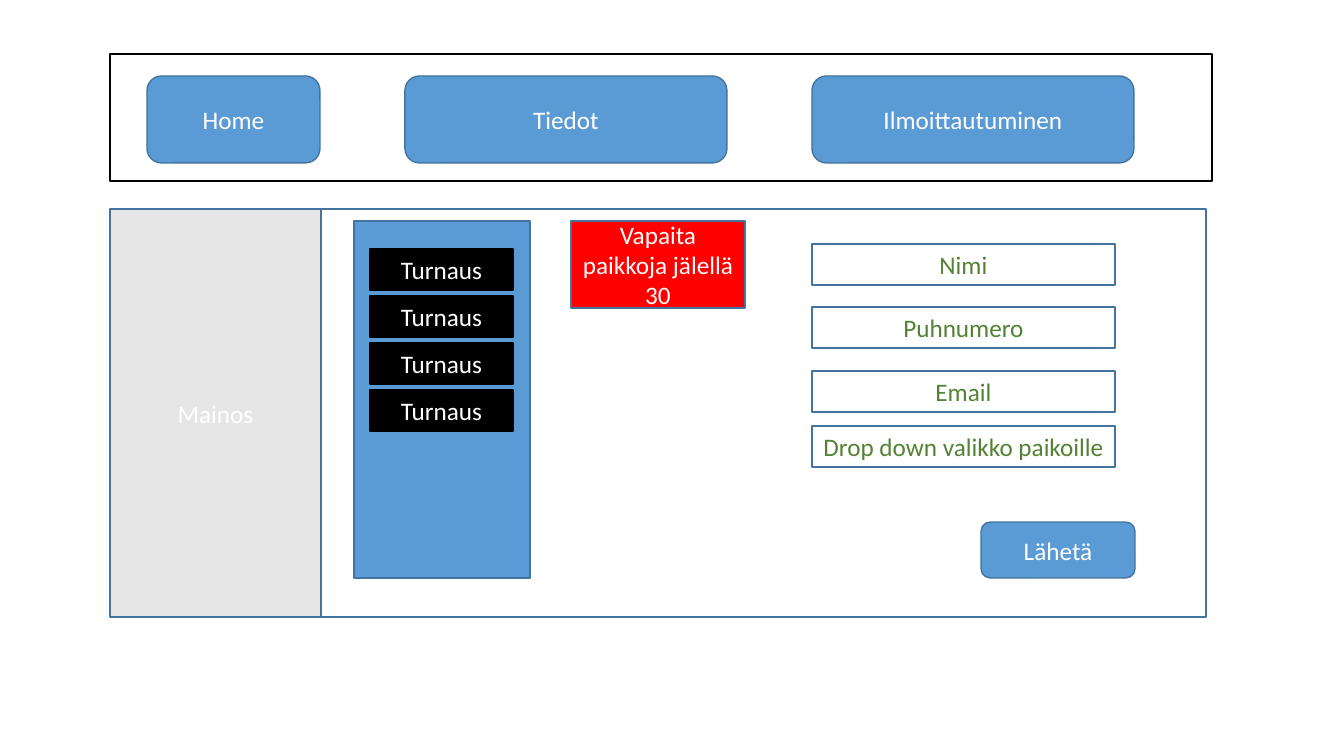
"""Build a wireframe slide of a tournament sign-up page."""
from pptx import Presentation
from pptx.dml.color import RGBColor
from pptx.enum.shapes import MSO_SHAPE
from pptx.enum.text import MSO_ANCHOR, PP_ALIGN
from pptx.util import Pt

RECT = MSO_SHAPE.RECTANGLE
ROUNDED = MSO_SHAPE.ROUNDED_RECTANGLE
MIDDLE = MSO_ANCHOR.MIDDLE
CENTER = PP_ALIGN.CENTER

WHITE = RGBColor(0xFF, 0xFF, 0xFF)
BLACK = RGBColor(0x00, 0x00, 0x00)
BLUE = RGBColor(0x5B, 0x9B, 0xD5)
DARK_BLUE = RGBColor(0x43, 0x73, 0x9E)
GRAY = RGBColor(0xE7, 0xE6, 0xE6)
GREEN = RGBColor(0x54, 0x82, 0x35)
RED = RGBColor(0xFF, 0x00, 0x00)

PX = 914400 / 100.8

prs = Presentation()
prs.slide_width = round(1344 * PX)
prs.slide_height = round(756 * PX)
slide = prs.slides.add_slide(prs.slide_layouts[6])


def add_box(text, *, at, shape=RECT, fill=BLUE, line=DARK_BLUE, color=WHITE):
    box = slide.shapes.add_shape(shape, *(round(length * PX) for length in at))
    box.shadow.inherit = False
    box.fill.solid()
    box.fill.fore_color.rgb = fill
    box.line.color.rgb = line
    box.line.width = Pt(1)
    if text:
        frame = box.text_frame
        frame.word_wrap = True
        frame.vertical_anchor = MIDDLE
        paragraph = frame.paragraphs[0]
        paragraph.alignment = CENTER
        run = paragraph.add_run()
        run.text = text
        run.font.name = "Calibri"
        run.font.size = Pt(18)
        run.font.color.rgb = color


add_box("", at=(110, 54, 1102, 127), fill=WHITE, line=BLACK)
for label, left, width in [("Home", 147, 173), ("Tiedot", 405, 322), ("Ilmoittautuminen", 812, 322)]:
    add_box(label, at=(left, 76, width, 87), shape=ROUNDED)

add_box("", at=(320, 209, 886, 408), fill=WHITE)
add_box("Mainos", at=(110, 209, 211, 408), fill=GRAY)

add_box("", at=(354, 221, 176, 357))
for row in range(4):
    add_box("Turnaus", at=(370, 249 + 47 * row, 143, 41), fill=BLACK, line=BLACK)

add_box("Vapaita paikkoja jälellä 30", at=(571, 221, 174, 87), fill=RED)

for label, top in [("Nimi", 244), ("Puhnumero", 307), ("Email", 371), ("Drop down valikko paikoille", 426)]:
    add_box(label, at=(812, top, 303, 41), fill=WHITE, color=GREEN)
add_box("Lähetä", at=(981, 522, 154, 56), shape=ROUNDED)

prs.save("out.pptx")
